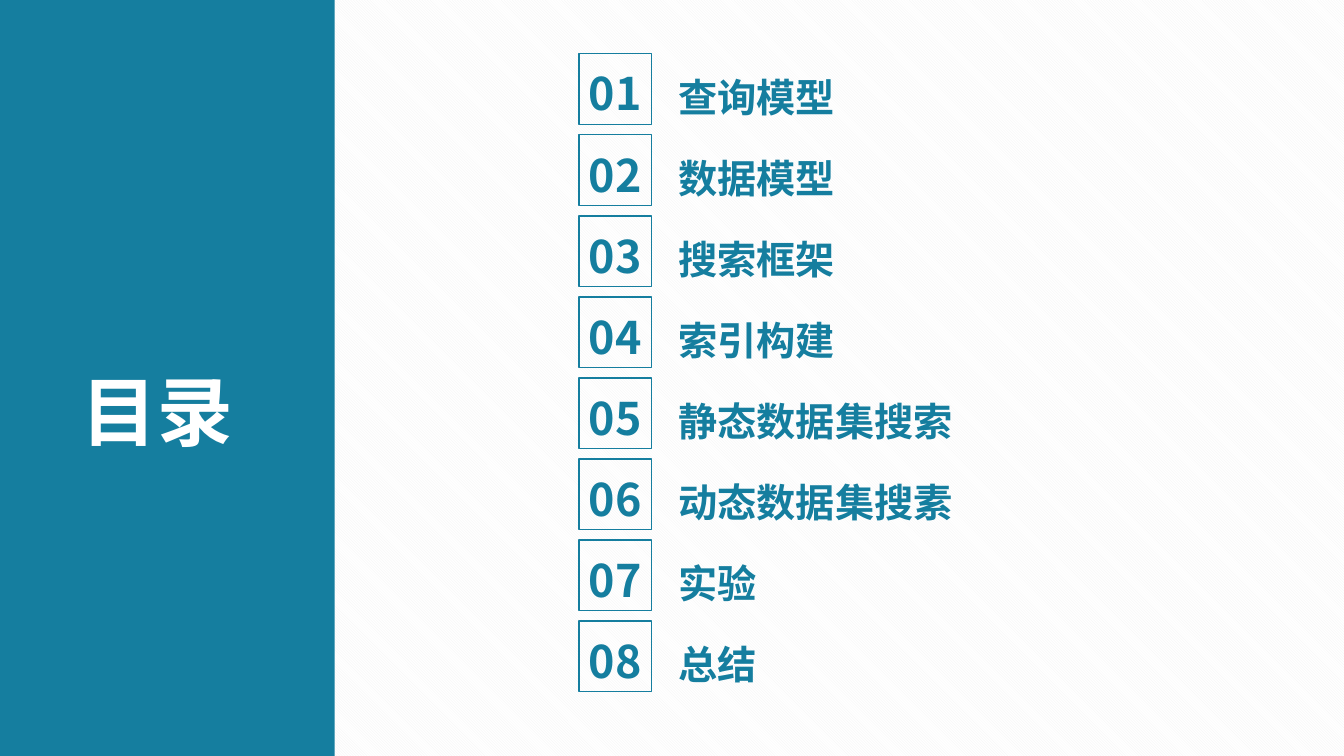
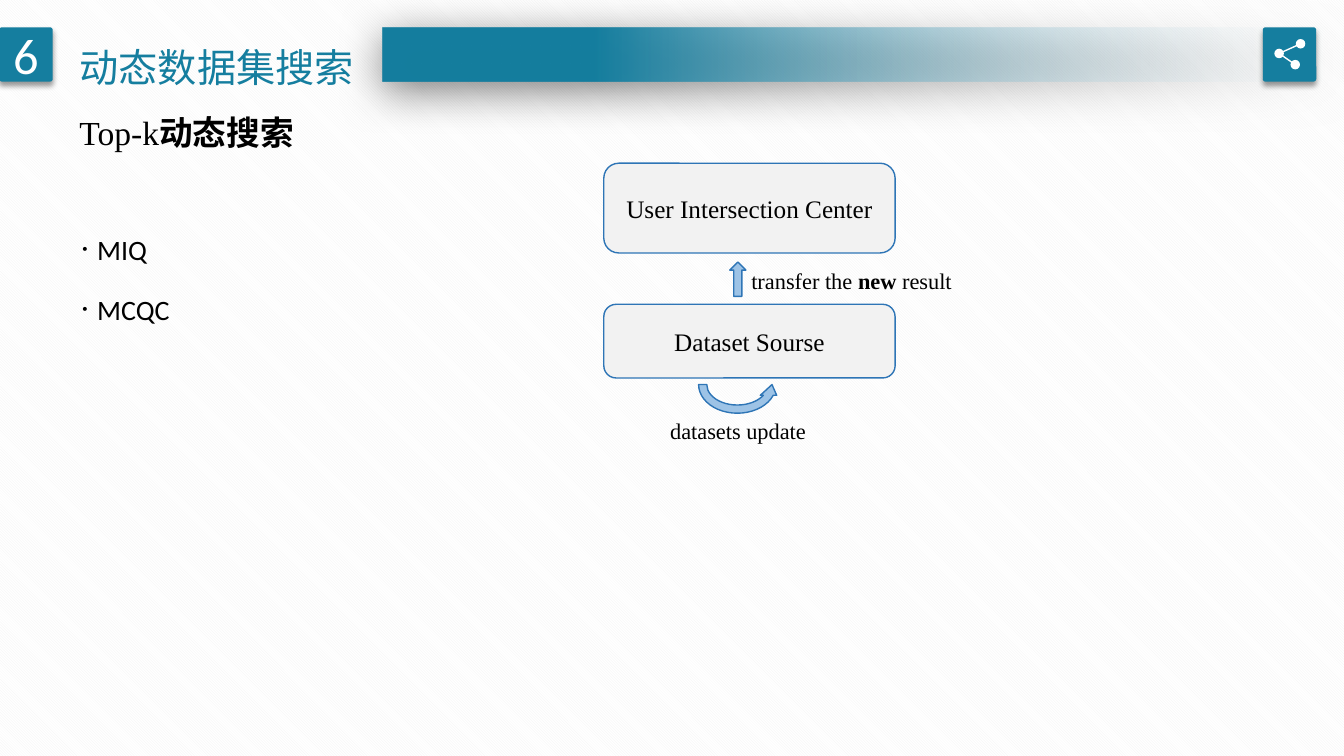
from dataclasses import dataclass

from pptx import Presentation
from pptx.dml.color import RGBColor
from pptx.enum.dml import MSO_PATTERN
from pptx.enum.shapes import MSO_CONNECTOR, MSO_SHAPE as Geo
from pptx.enum.text import MSO_ANCHOR as Anchor, MSO_AUTO_SIZE, PP_ALIGN as Align
from pptx.oxml.ns import qn
from pptx.oxml.xmlchemy import OxmlElement
from pptx.util import Pt

Rgb = RGBColor.from_string


@dataclass(frozen=True)
class Theme:
    teal: RGBColor = Rgb("157E9F")
    white: RGBColor = Rgb("FFFFFF")
    black: RGBColor = Rgb("000000")
    mist: RGBColor = Rgb("F7FAFD")
    grey: RGBColor = Rgb("F2F2F2")
    arrow: RGBColor = Rgb("9DC3E6")
    outline: RGBColor = Rgb("2E75B6")
    cjk: str = "Noto Sans CJK SC"
    serif: str = "Times New Roman"
    sans: str = "Calibri"
    cover: int = 54
    badge: int = 36
    number: int = 32
    heading: int = 28
    subtitle: int = 24
    body: int = 20
    node: int = 18
    label: int = 16


T = Theme()
CHAPTERS = ["查询模型", "数据模型", "搜索框架", "索引构建",
            "静态数据集搜索", "动态数据集搜素", "实验", "总结"]
BADGE_SHADOW = (40, 4, 3, 90)
BAR_SHADOW = (50, 31, 6, 97)


def sub(parent, tag, **attributes):
    child = OxmlElement(tag)
    for key, value in attributes.items():
        child.set(key, str(value))
    parent.append(child)
    return child


def style_run(run, font, size, color, bold=False):
    run.font.name = font
    run.font.size = Pt(size)
    run.font.bold = bold
    run.font.color.rgb = color
    sub(run.font._element, "a:ea", typeface=T.cjk)


def style_frame(frame, align=Align.LEFT, anchor=Anchor.MIDDLE):
    frame.word_wrap = True
    frame.auto_size = MSO_AUTO_SIZE.NONE
    frame.vertical_anchor = anchor
    for paragraph in frame.paragraphs:
        paragraph.alignment = align


def write(frame, text, font, size, color, bold=False, align=Align.LEFT):
    frame.text = text
    style_frame(frame, align)
    for paragraph in frame.paragraphs:
        for run in paragraph.runs:
            style_run(run, font, size, color, bold)


def place(shape, box):
    shape.left, shape.top, shape.width, shape.height = map(Pt, box)


def add_title(slide, text, box, size, color, bold=False, spacing=1.0):
    title = slide.shapes.title
    place(title, box)
    write(title.text_frame, text, T.cjk, size, color, bold)
    title.text_frame.paragraphs[0].line_spacing = spacing
    title.element.getparent().append(title.element)


def add_text(slide, box, text, font, size, color, bold=False):
    caption = slide.shapes.add_textbox(*map(Pt, box))
    write(caption.text_frame, text, font, size, color, bold)


def add_mixed_text(slide, box, size, parts):
    caption = slide.shapes.add_textbox(*map(Pt, box))
    style_frame(caption.text_frame)
    for text, bold in parts:
        run = caption.text_frame.paragraphs[0].add_run()
        run.text = text
        style_run(run, T.serif, size, T.black, bold)


def add_block(slide, geometry, box, fill=None, line=None):
    block = slide.shapes.add_shape(geometry, *map(Pt, box))
    block.shadow.inherit = False
    if fill is None:
        block.fill.background()
    else:
        block.fill.solid()
        block.fill.fore_color.rgb = fill
    if line is None:
        block.line.fill.background()
    else:
        block.line.color.rgb = line
        block.line.width = Pt(1)
    return block


def add_shadow(block, alpha, blur, distance, angle):
    effects = block.element.spPr.find(qn("a:effectLst"))
    shadow = sub(effects, "a:outerShdw", blurRad=Pt(blur), dist=Pt(distance),
                 dir=angle * 60000, algn="t", rotWithShape=0)
    sub(sub(shadow, "a:srgbClr", val=T.black), "a:alpha", val=alpha * 1000)


def add_badge(slide, left):
    badge = add_block(slide, Geo.ROUNDED_RECTANGLE, (left, 19.5, 38.2, 38.8), T.teal)
    badge.adjustments[0] = 0.05
    add_shadow(badge, *BADGE_SHADOW)
    return badge


def add_share_icon(slide):
    add_badge(slide, 902)
    hub, *ends = nodes = [(913.7, 38.2), (929, 31.3), (925.2, 46.2)]
    for end in ends:
        link = slide.shapes.add_connector(MSO_CONNECTOR.STRAIGHT, *map(Pt, hub + end))
        link.line.color.rgb = T.white
        link.line.width = Pt(1)
        sub(link.element.spPr, "a:effectLst")
    dot = 6.8
    for x, y in nodes:
        add_block(slide, Geo.OVAL, (x - dot / 2, y - dot / 2, dot, dot), T.white)


def add_header(slide, number, text):
    bar = add_block(slide, Geo.RECTANGLE, (273.3, 19.8, 686.7, 38.5))
    bar.fill.gradient()
    bar.fill.gradient_angle = 180
    stops = bar.fill.gradient_stops
    for stop, color, position in zip(stops, (T.mist, T.teal), (0, 0.78)):
        stop.color.rgb = color
        stop.position = position
    clear = next(bar.element.spPr.iter(qn("a:srgbClr")))
    sub(clear, "a:alpha", val=0)
    add_shadow(bar, *BAR_SHADOW)
    badge = add_badge(slide, -0.5)
    write(badge.text_frame, number, T.sans, T.badge, T.white, align=Align.CENTER)
    add_share_icon(slide)
    add_title(slide, text, (49.7, 10, 216, 58.3), T.heading, T.teal, spacing=1.5)


def add_bullets(slide, box, items):
    bullets = slide.shapes.add_textbox(*map(Pt, box)).text_frame
    write(bullets, "\n".join(items), T.sans, T.body, T.black)
    bullets.vertical_anchor = Anchor.TOP
    for paragraph in bullets.paragraphs:
        paragraph.line_spacing = Pt(43)
        props = paragraph._p.get_or_add_pPr()
        props.set("marL", str(Pt(12.6)))
        props.set("indent", str(-Pt(12.6)))
        sub(props, "a:buSzPct", val=120000)
        sub(props, "a:buFont", typeface=T.serif)
        sub(props, "a:buChar", char="·")


def add_node(slide, top, height, text):
    node = add_block(slide, Geo.ROUNDED_RECTANGLE, (431.3, top, 208.1, height),
                     T.grey, T.outline)
    write(node.text_frame, text, T.serif, T.node, T.black, align=Align.CENTER)


def add_chapter(slide, index, text):
    top = 38.4 + 57.9 * index
    square = add_block(slide, Geo.RECTANGLE, (413.5, top, 51.8, 50.4), line=T.teal)
    frame = square.text_frame
    write(frame, f"{index + 1:02}", T.cjk, T.number, T.teal, True, Align.CENTER)
    frame.margin_left = frame.margin_right = frame.margin_bottom = 0
    frame.margin_top = Pt(5.8)
    add_text(slide, (477.6, top + 10, 217.4, 41), text, T.cjk, T.heading, T.teal, True)


def build_contents(slide):
    add_block(slide, Geo.RECTANGLE, (0, 0, 239, 540), T.teal)
    add_title(slide, "目录", (51.1, 257, 130, 72.7), T.cover, T.white, True)
    for index, text in enumerate(CHAPTERS):
        add_chapter(slide, index, text)


def build_dynamic_search(slide):
    add_header(slide, "6", "动态数据集搜索")
    add_mixed_text(slide, (49.7, 76.3, 535, 36), T.subtitle,
                   [("Top-k", False), ("动态搜索", True)])
    add_bullets(slide, (49.7, 143.3, 480, 119), ["MIQ", "MCQC"])
    add_node(slide, 116.6, 64.1, "User Intersection Center")
    add_node(slide, 217.4, 52.6, "Dataset Sourse")
    update = add_block(slide, Geo.CIRCULAR_ARROW, (496.1, 251.3, 61.2, 46.8),
                       T.arrow, T.outline)
    update.element.spPr.xfrm.set("flipV", "1")
    add_block(slide, Geo.UP_ARROW, (521.3, 187.2, 11.5, 24.5), T.arrow, T.outline)
    add_text(slide, (471.6, 294.5, 128, 26.6), "datasets update",
             T.serif, T.label, T.black)
    add_mixed_text(slide, (529.6, 187.2, 185, 26.6), T.label,
                   [("transfer the ", False), ("new", True), (" result", False)])


def main():
    deck = Presentation()
    deck.slide_width, deck.slide_height = Pt(960), Pt(540)
    backdrop = deck.slide_master.background.fill
    backdrop.patterned()
    backdrop.pattern = MSO_PATTERN.DARK_DOWNWARD_DIAGONAL
    backdrop.fore_color.rgb = T.grey
    backdrop.back_color.rgb = T.white
    title_only = deck.slide_layouts[5]
    for build in (build_contents, build_dynamic_search):
        build(deck.slides.add_slide(title_only))
    deck.save("out.pptx")


if __name__ == "__main__":
    main()
